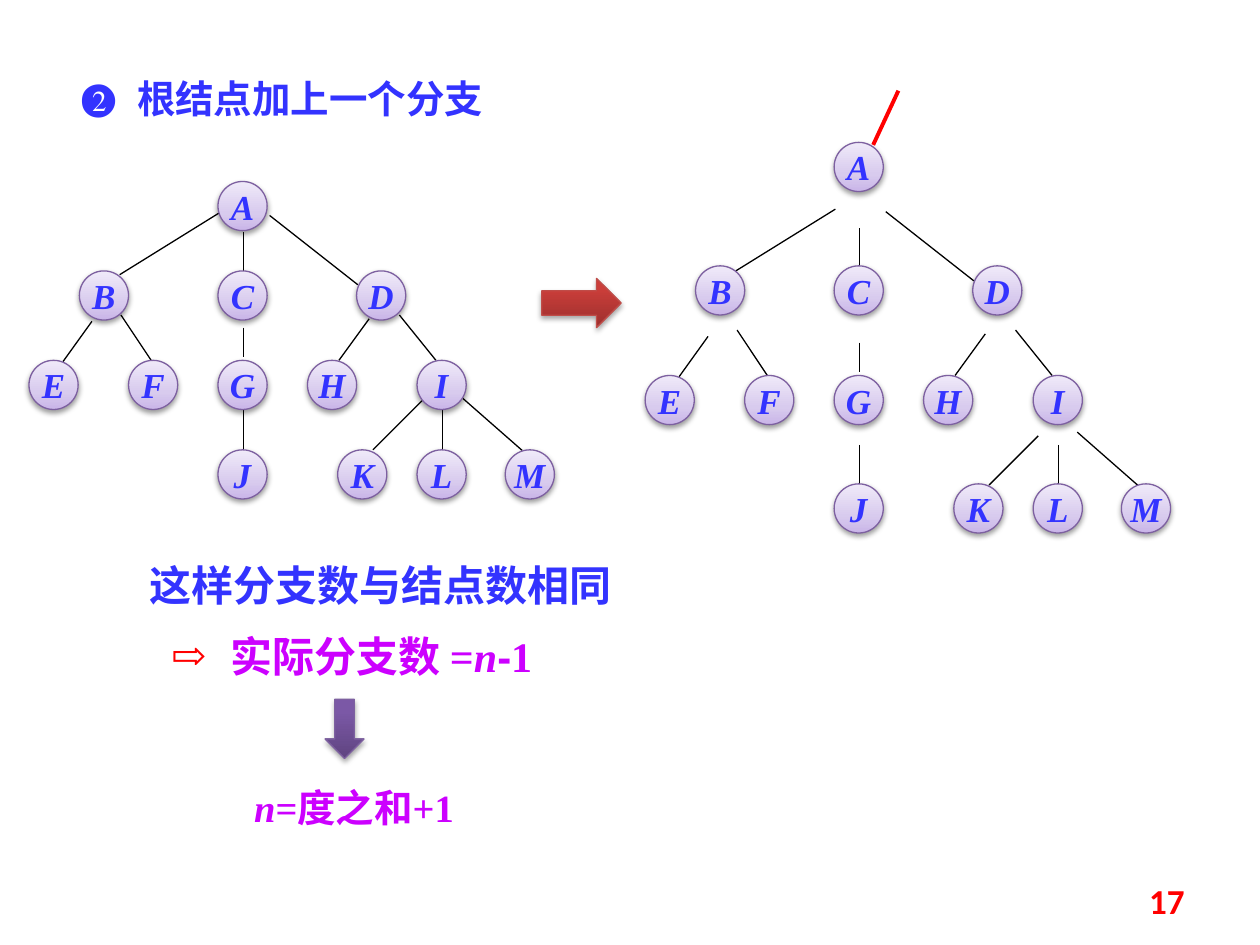
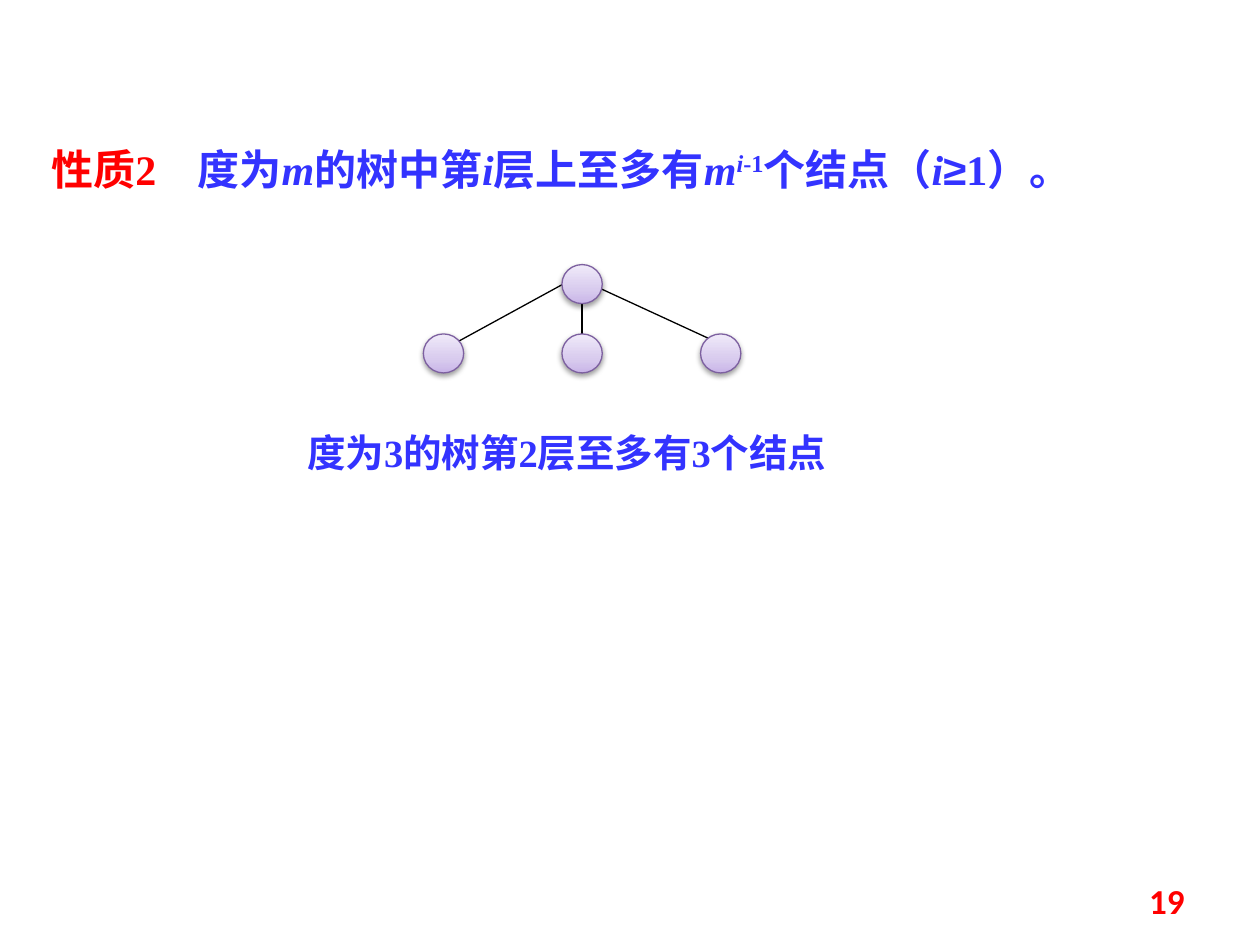
from dataclasses import dataclass

from lxml import etree
from pptx import Presentation
from pptx.dml.color import RGBColor
from pptx.enum.shapes import MSO_CONNECTOR, MSO_SHAPE
from pptx.enum.text import MSO_ANCHOR, MSO_AUTO_SIZE, PP_ALIGN
from pptx.oxml.ns import qn
from pptx.util import Inches, Pt


@dataclass(frozen=True)
class Theme:
    blue: str = "3333FF"
    magenta: str = "CC00FF"
    red: str = "FF0000"
    black: str = "000000"
    node_line: str = "7D60A0"
    node_stops: tuple = ((0, "C9B5E8"), (35, "D8CBEE"), (100, "F0EAF9"))
    purple_stops: tuple = ((0, "5F4480"), (80, "7B58A6"), (100, "7C57A8"))
    red_stops: tuple = ((0, "9C2F2D"), (80, "CB3E3A"), (100, "CE3B37"))
    red_line: str = "BF4C48"
    serif: str = "Times New Roman"
    sans: str = "Arial"
    number_font: str = "Calibri"
    statement: int = 24
    heading: int = 22
    label: int = 20
    hairline: float = 0.75
    accent_line: float = 2.25


theme = Theme()


def add_glossy_shape(shapes, preset, box, stops, line, shadow_alpha=35, shadow_distance=1.8):
    """Add a preset shape with a bottom-to-top gradient and a soft shadow below."""
    shape = shapes.add_shape(preset, *map(Inches, box))
    shape.fill.gradient()
    shape.fill.gradient_angle = 90
    stop_list = shape.element.spPr.find(".//" + qn("a:gsLst"))
    for old_stop in list(stop_list):
        stop_list.remove(old_stop)
    for position, color in stops:
        stop = etree.SubElement(stop_list, qn("a:gs"), pos=str(position * 1000))
        etree.SubElement(stop, qn("a:srgbClr"), val=color)
    shape.line.color.rgb = RGBColor.from_string(line)
    shape.line.width = Pt(theme.hairline)
    shape.shadow.inherit = False
    effects = shape.element.spPr.find(qn("a:effectLst"))
    shadow = etree.SubElement(
        effects, qn("a:outerShdw"), blurRad=str(Pt(3.1)), dist=str(Pt(shadow_distance)),
        dir="5400000", rotWithShape="0")
    shade = etree.SubElement(shadow, qn("a:srgbClr"), val=theme.black)
    etree.SubElement(shade, qn("a:alpha"), val=str(shadow_alpha * 1000))
    return shape


def set_font(font, size=None, color=None, name=None, bold=None, italic=None):
    if size:
        font.size = Pt(size)
    if color:
        font.color.rgb = RGBColor.from_string(color)
    if name:
        font.name = name
    if bold is not None:
        font.bold = bold
    if italic is not None:
        font.italic = italic


prs = Presentation()
prs.slide_width, prs.slide_height = Inches(10), Inches(7.5)
branch_slide, property_slide = [prs.slides.add_slide(prs.slide_layouts[6]) for _ in range(2)]

# Trees: node label, left edge and level; branch ends and the level they start from
letters = [
    ("A", 1.73, 0), ("B", 0.63, 1), ("C", 1.73, 1), ("D", 2.83, 1),
    ("E", 0.23, 2), ("F", 1.02, 2), ("G", 1.73, 2), ("H", 2.44, 2), ("I", 3.31, 2),
    ("J", 1.73, 3), ("K", 2.68, 3), ("L", 3.31, 3), ("M", 4.01, 3),
]
letter_branches = [
    (1.74, 1.69, 0.95, 2.18, 0), (1.93, 1.84, 1.93, 2.15, 0), (2.14, 1.71, 2.84, 2.26, 0),
    (0.73, 2.55, 0.5, 2.87, 1), (0.96, 2.5, 1.2, 2.86, 1), (1.93, 2.6, 1.93, 2.83, 1),
    (2.93, 2.53, 2.69, 2.86, 1), (3.17, 2.5, 3.46, 2.86, 1),
    (1.93, 3.25, 1.93, 3.57, 2), (3.35, 3.18, 2.96, 3.57, 2),
    (3.51, 3.25, 3.51, 3.57, 2), (3.66, 3.15, 4.15, 3.58, 2),
]
ternary_nodes = [("", 4.46, 0), ("", 3.36, 1), ("", 4.46, 1), ("", 5.56, 1)]
ternary_branches = [
    (4.46, 2.26, 3.6, 2.73, 0), (4.62, 2.34, 4.62, 2.73, 0), (4.7, 2.26, 5.72, 2.73, 0),
]
root_branch = (7.13, 0.72, 6.93, 1.15)

# slide, nodes, branches, shift right, level tops, branch drops by level, node size, root branch
trees = [
    (branch_slide, letters, letter_branches, 0, (1.44, 2.15, 2.86, 3.57), (0, 0, 0),
     (0.39, 0.39), None),
    (branch_slide, letters, letter_branches, 4.89, (1.13, 2.11, 2.98, 3.84), (-0.03, 0.12, 0.28),
     (0.39, 0.39), root_branch),
    (property_slide, ternary_nodes, ternary_branches, 0, (2.1, 2.65), (0,),
     (0.32, 0.31), None),
]
for slide, nodes, branches, shift, tops, drops, node_size, extra in trees:
    tree = slide.shapes.add_group_shape().shapes
    strokes = [
        ((x1 + shift, y1 + drops[level], x2 + shift, y2 + drops[level]),
         theme.black, theme.hairline)
        for x1, y1, x2, y2, level in branches
    ]
    if extra:
        strokes.append((extra, theme.red, theme.accent_line))
    for ends, color, width in strokes:
        branch = tree.add_connector(MSO_CONNECTOR.STRAIGHT, *map(Inches, ends))
        branch.line.color.rgb = RGBColor.from_string(color)
        branch.line.width = Pt(width)
        etree.SubElement(branch.element.spPr, qn("a:effectLst"))
    for letter, left, level in nodes:
        node = add_glossy_shape(tree, MSO_SHAPE.OVAL, (left + shift, tops[level], *node_size),
                                theme.node_stops, theme.node_line, 38, 1.6)
        if letter:
            node.text_frame.word_wrap = False
            node.text_frame.vertical_anchor = MSO_ANCHOR.MIDDLE
            name = node.text_frame.paragraphs[0]
            name.text = letter
            name.alignment = PP_ALIGN.CENTER
            set_font(name.font, theme.label, theme.blue, theme.serif, True, True)

add_glossy_shape(branch_slide.shapes, MSO_SHAPE.DOWN_ARROW, (2.58, 5.55, 0.31, 0.47),
                 theme.purple_stops, theme.node_line)
add_glossy_shape(branch_slide.shapes, MSO_SHAPE.RIGHT_ARROW, (4.3, 2.21, 0.63, 0.39),
                 theme.red_stops, theme.red_line)

# Texts: each paragraph has size, colour, marker (sign, colour, left, hanging), tab and runs
plain, italic = {}, {"italic": True}
symbol = {"name": theme.sans}
texts = [
    (branch_slide, (0.55, 0.55, 3.75, 0.47), PP_ALIGN.LEFT, [
        (theme.heading, theme.blue, ("❷", theme.blue, 0.44, 0.44), None,
         [("根结点加上一个分支", plain)]),
    ]),
    (branch_slide, (1.09, 4.39, 4.38, 1.11), PP_ALIGN.LEFT, [
        (theme.statement, theme.blue, None, None, [("这样分支数与结点数相同", plain)]),
        (theme.statement, theme.magenta, ("⇨", theme.red, 0.64, 0.47), None,
         [("实际分支数 =", plain), ("n", italic), ("-", symbol), ("1", plain)]),
    ]),
    (branch_slide, (1.48, 6.17, 2.66, 0.47), PP_ALIGN.CENTER, [
        (theme.heading, theme.magenta, None, None, [("n", italic), ("=度之和+1", plain)]),
    ]),
    (property_slide, (0.31, 1.09, 9.33, 0.5), PP_ALIGN.JUSTIFY, [
        (theme.statement, theme.blue, None, 1.16, [
            ("性质2\t", {"color": theme.red}), ("度为", plain), ("m", italic),
            ("的树中第", plain), ("i", italic), ("层上至多有", plain), ("m", italic),
            ("i", {"italic": True, "raised": True}), ("-1", {"raised": True}),
            ("个结点（", plain), ("i", italic), ("≥", symbol), ("1）。", plain),
        ]),
    ]),
    (property_slide, (2.34, 3.36, 4.61, 0.47), PP_ALIGN.LEFT, [
        (theme.heading, theme.blue, None, None, [("度为3的树第2层至多有3个结点", plain)]),
    ]),
]
for slide, box, alignment, paragraphs in texts:
    frame = slide.shapes.add_textbox(*map(Inches, box)).text_frame
    frame.word_wrap = True
    frame.auto_size = MSO_AUTO_SIZE.SHAPE_TO_FIT_TEXT
    for index, (size, color, marker, tab, runs) in enumerate(paragraphs):
        paragraph = frame.add_paragraph() if index else frame.paragraphs[0]
        paragraph.alignment = alignment
        if index:
            paragraph.space_before = Pt(size / 2)
        properties = paragraph._p.get_or_add_pPr()
        if marker:
            sign, sign_color, left, hanging = marker
            properties.set("marL", str(Inches(left)))
            properties.set("indent", str(-Inches(hanging)))
            bullet_color = etree.SubElement(properties, qn("a:buClr"))
            etree.SubElement(bullet_color, qn("a:srgbClr"), val=sign_color)
            etree.SubElement(properties, qn("a:buFont"), typeface=theme.serif)
            etree.SubElement(properties, qn("a:buChar"), char=sign)
        if tab:
            tabs = etree.SubElement(properties, qn("a:tabLst"))
            etree.SubElement(tabs, qn("a:tab"), pos=str(Inches(tab)), algn="l")
        set_font(paragraph.font, size, color, theme.serif, True)
        for words, style in runs:
            run = paragraph.add_run()
            run.text = words
            set_font(run.font, **{key: style[key] for key in style if key != "raised"})
            if style.get("raised"):
                run._r.get_or_add_rPr().set("baseline", "30000")

for slide, number in ((branch_slide, "17"), (property_slide, "19")):
    frame = slide.shapes.add_textbox(*map(Inches, (7.17, 6.95, 2.33, 0.4))).text_frame
    frame.word_wrap = True
    frame.vertical_anchor = MSO_ANCHOR.MIDDLE
    page_number = frame.paragraphs[0]
    page_number.text = number
    page_number.alignment = PP_ALIGN.RIGHT
    set_font(page_number.font, theme.label, theme.red, theme.number_font, True)

prs.save("out.pptx")
